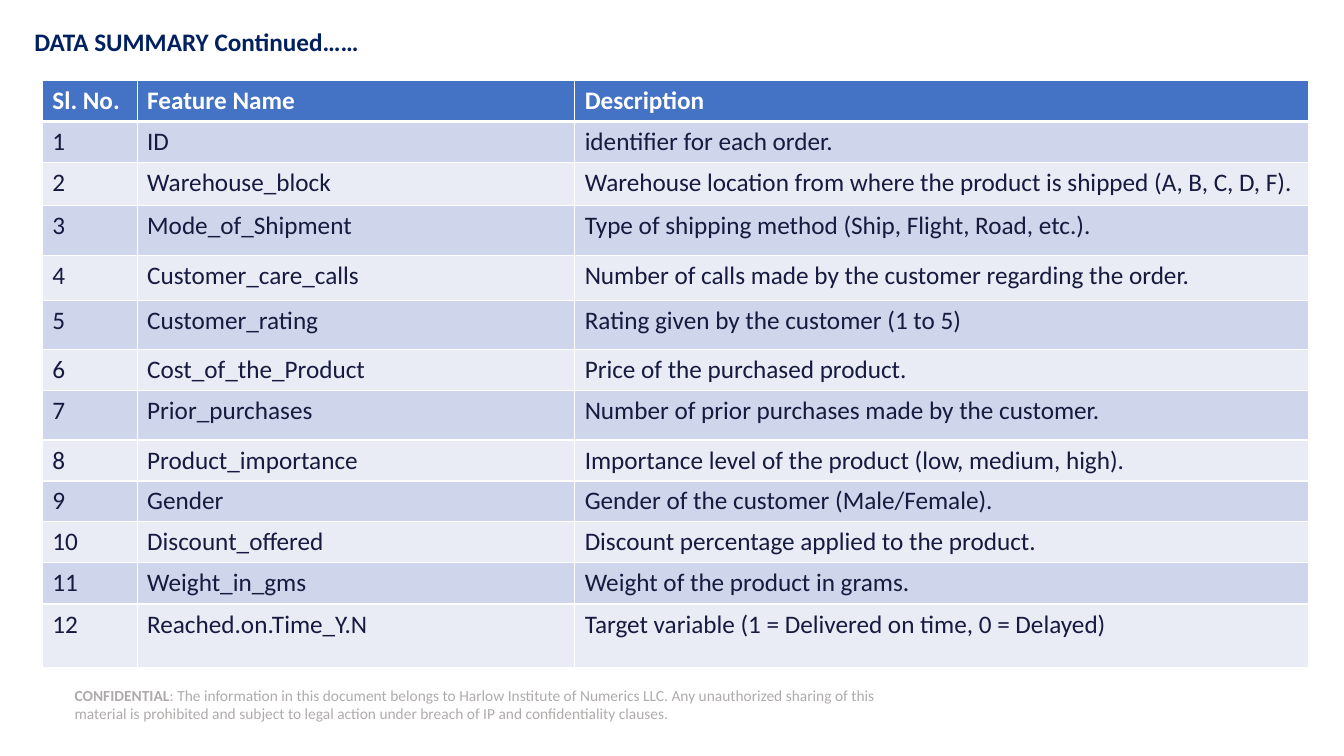
from lxml import etree
from pptx import Presentation
from pptx import util as u
from pptx.dml.color import RGBColor
from pptx.enum import shapes, text
from pptx.oxml import ns

WHITE = RGBColor(0xFF, 0xFF, 0xFF)
NAVY = RGBColor(0x00, 0x20, 0x60)
INK = RGBColor(0x16, 0x1A, 0x3E)
GREY = RGBColor(0xAF, 0xAB, 0xAB)
BLUE = RGBColor(0x44, 0x72, 0xC4)
BANDS = (RGBColor(0xE9, 0xEB, 0xF5), RGBColor(0xCF, 0xD5, 0xEA))

HEADINGS = ("Sl. No.", "Feature Name", "Description")
FEATURES = [
    ("ID", "identifier for each order.", 0.39),
    ("Warehouse_block", "Warehouse location from where the product is shipped (A, B, C, D, F).", 0.43),
    ("Mode_of_Shipment", "Type of shipping method (Ship, Flight, Road, etc.).", 0.49),
    ("Customer_care_calls", "Number of calls made by the customer regarding the order.", 0.45),
    ("Customer_rating", "Rating given by the customer (1 to 5)", 0.49),
    ("Cost_of_the_Product", "Price of the purchased product.", 0.39),
    ("Prior_purchases", "Number of prior purchases made by the customer.", 0.49),
    ("Product_importance", "Importance level of the product (low, medium, high).", 0.4),
    ("Gender", "Gender of the customer (Male/Female).", 0.39),
    ("Discount_offered", "Discount percentage applied to the product.", 0.4),
    ("Weight_in_gms", "Weight of the product in grams.", 0.41),
    ("Reached.on.Time_Y.N", "Target variable (1 = Delivered on time, 0 = Delayed)", 0.63),
]


class SummarySlide:
    font_name = "Calibri"

    def __init__(self, deck):
        self.slide = deck.slides.add_slide(deck.slide_layouts[5])

    def style(self, paragraph, size, color, bold=None):
        paragraph.alignment = text.PP_ALIGN.LEFT
        font = paragraph.font
        font.name, font.size, font.bold = self.font_name, u.Pt(size), bold
        font.color.rgb = color

    def title(self, wording, *box):
        heading = self.slide.shapes.title
        heading.left, heading.top, heading.width, heading.height = map(u.Inches, box)
        frame = heading.text_frame
        frame.text = wording
        frame.vertical_anchor = text.MSO_ANCHOR.TOP
        frame.auto_size = text.MSO_AUTO_SIZE.NONE
        self.style(frame.paragraphs[0], 18, NAVY, True)

    def notice(self, lead, wording, *box):
        panel = self.slide.shapes.add_shape(shapes.MSO_SHAPE.RECTANGLE, *map(u.Inches, box))
        panel.shadow.inherit = False
        panel.fill.solid()
        panel.fill.fore_color.rgb = WHITE
        panel.line.fill.background()
        frame = panel.text_frame
        frame.word_wrap = True
        frame.vertical_anchor = text.MSO_ANCHOR.MIDDLE
        frame.margin_left = frame.margin_right = frame.margin_top = frame.margin_bottom = 0
        paragraph = frame.paragraphs[0]
        self.style(paragraph, 11, GREY)
        for part, bold in ((lead, True), (wording, False)):
            run = paragraph.add_run()
            run.text = part
            run.font.bold = bold

    def border(self, cell, side, points):
        edge = etree.SubElement(cell._tc.get_or_add_tcPr(), ns.qn(f"a:ln{side}"), w=str(u.Pt(points)))
        paint = etree.SubElement(edge, ns.qn("a:solidFill"))
        etree.SubElement(paint, ns.qn("a:srgbClr"), val=str(WHITE))

    def table(self, rows, heights, widths, left, top):
        size = (sum(widths), sum(heights))
        grid = self.slide.shapes.add_table(
            len(rows), len(widths), *map(u.Inches, (left, top, *size))).table
        for column, width in zip(grid.columns, widths):
            column.width = u.Inches(width)
        for r, (row, height) in enumerate(zip(rows, heights)):
            grid.rows[r].height = u.Inches(height)
            for c, wording in enumerate(row):
                self.cell(grid.cell(r, c), wording, r)

    def cell(self, cell, wording, row):
        header = row == 0
        cell.text = wording
        self.style(cell.text_frame.paragraphs[0], 18, WHITE if header else INK, header)
        for side in "LRTB":
            thick = (row, side) in ((0, "B"), (1, "T"))
            self.border(cell, side, 3 if thick else 1)
        cell.fill.solid()
        cell.fill.fore_color.rgb = BLUE if header else BANDS[row % 2]


def main():
    deck = Presentation()
    deck.slide_width, deck.slide_height = u.Inches(13.33), u.Inches(7.5)
    summary = SummarySlide(deck)
    summary.notice(
        "CONFIDENTIAL",
        ": The information in this document belongs to Harlow Institute of Numerics LLC. "
        "Any unauthorized sharing of this material is prohibited and subject to legal action "
        "under breach of IP and confidentiality clauses.",
        0.74, 6.79, 8.17, 0.4)
    rows = [HEADINGS] + [
        (str(number), feature, description)
        for number, (feature, description, _) in enumerate(FEATURES, 1)]
    heights = [0.4] + [height for _, _, height in FEATURES]
    summary.table(rows, heights, (0.94, 4.34, 7.28), 0.42, 0.8)
    summary.title("DATA SUMMARY Continued……", 0.24, 0.21, 6.67, 0.4)
    deck.save("out.pptx")


if __name__ == "__main__":
    main()
